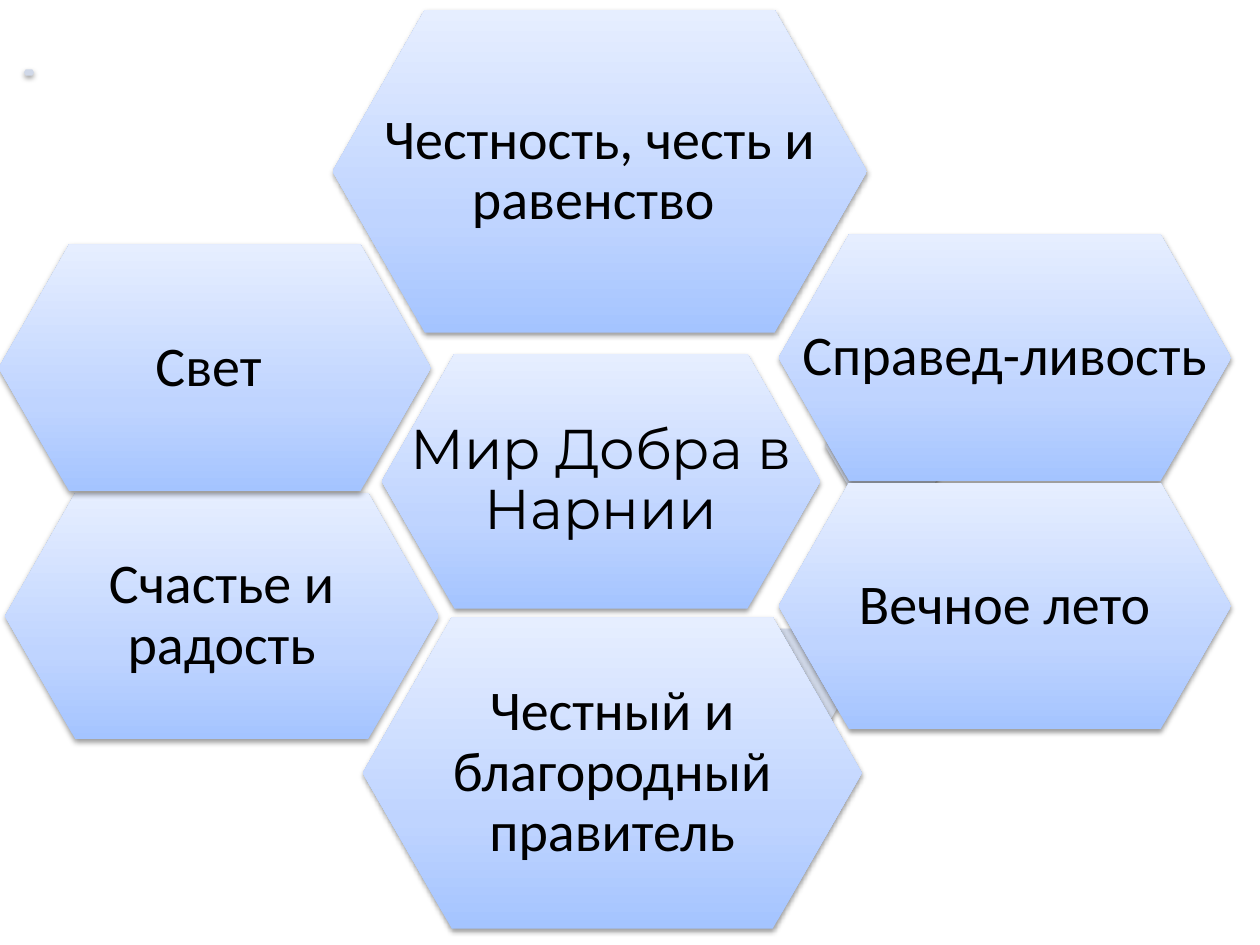
import pptx
import pptx.util
import pptx.dml.color
import pptx.oxml
import pptx.oxml.ns
import pptx.enum.shapes
import pptx.enum.text
from pptx.util import Inches, Pt

NS = pptx.oxml.ns.nsdecls("a")
GRADIENT = [(0, "A4C4FF"), (35, "BFD4FF"), (100, "E6EEFF")]
ACCENT = "D0D8E8"
BLACK = "000000"


def rgb(color):
    return pptx.dml.color.RGBColor.from_string(color)


def set_gradient(s):
    """Fill upwards through all the GRADIENT stops."""
    s.fill.gradient()
    s.fill.gradient_angle = 90
    stops = s._element.spPr.find(".//" + pptx.oxml.ns.qn("a:gsLst"))
    for stop in list(stops):
        stops.remove(stop)
    for percent, color in GRADIENT:
        stops.append(pptx.oxml.parse_xml(
            f'<a:gs {NS} pos="{percent * 1000}"><a:srgbClr val="{color}"/></a:gs>'))


def set_shadow(s):
    s.shadow.inherit = False
    effects = s._element.spPr.find(pptx.oxml.ns.qn("a:effectLst"))
    effects.append(pptx.oxml.parse_xml(
        f'<a:outerShdw {NS} blurRad="{Pt(3.1)}" dist="{Pt(1.6)}" dir="5400000" '
        f'rotWithShape="0"><a:srgbClr val="{BLACK}"><a:alpha val="38000"/>'
        '</a:srgbClr></a:outerShdw>'))


def add_hexagon(slide, box, adj):
    s = slide.shapes.add_shape(pptx.enum.shapes.MSO_SHAPE.HEXAGON,
                               *(Inches(v) for v in box))
    s.adjustments[0] = adj
    s.line.fill.background()
    set_shadow(s)
    return s


def add_accent(slide, box):
    s = add_hexagon(slide, box, 0.29)
    s.fill.solid()
    s.fill.fore_color.rgb = rgb(ACCENT)


def add_cell(slide, box, text, font="Calibri"):
    """Gradient hexagon with a label spanning its full width."""
    set_gradient(add_hexagon(slide, box, 0.286))
    tf = slide.shapes.add_textbox(*(Inches(v) for v in box)).text_frame
    tf.word_wrap = True
    tf.vertical_anchor = pptx.enum.text.MSO_ANCHOR.MIDDLE
    tf.margin_left = tf.margin_right = Inches(0.08)
    tf.margin_top = tf.margin_bottom = Inches(0.04)
    tf.text = text
    p = tf.paragraphs[0]
    p.alignment = pptx.enum.text.PP_ALIGN.CENTER
    p.line_spacing = 0.9
    r = p.runs[0]
    r.font.size = Pt(32)
    r.font.name = font
    r.font.color.rgb = rgb(BLACK)


def add_honeycomb(slide):
    add_cell(slide, (3.03, 2.81, 3.48, 2.02), "Мир Добра в Нарнии", "Montserrat")
    add_cell(slide, (2.64, 0.08, 4.24, 2.56), "Честность, честь и равенство ")
    add_accent(slide, (6.55, 3.09, 1.04, 0.9))
    add_cell(slide, (6.18, 1.86, 3.59, 1.96), "Справед-ливость")
    add_accent(slide, (5.71, 4.99, 1.04, 0.9))
    add_cell(slide, (6.18, 3.83, 3.59, 1.96), "Вечное лето")
    add_cell(slide, (2.88, 4.9, 3.96, 2.47), "Честный и благородный правитель")
    add_accent(slide, (0.19, 0.55, 0.08, 0.05))
    add_cell(slide, (0.04, 3.91, 3.44, 1.96), "Счастье и радость")
    add_cell(slide, (-0.01, 1.94, 3.43, 1.96), "Свет ")


def main():
    prs = pptx.Presentation()
    prs.slide_width = Inches(10)
    prs.slide_height = Inches(7.5)
    add_honeycomb(prs.slides.add_slide(prs.slide_layouts[6]))
    prs.save("out.pptx")


if __name__ == "__main__":
    main()
